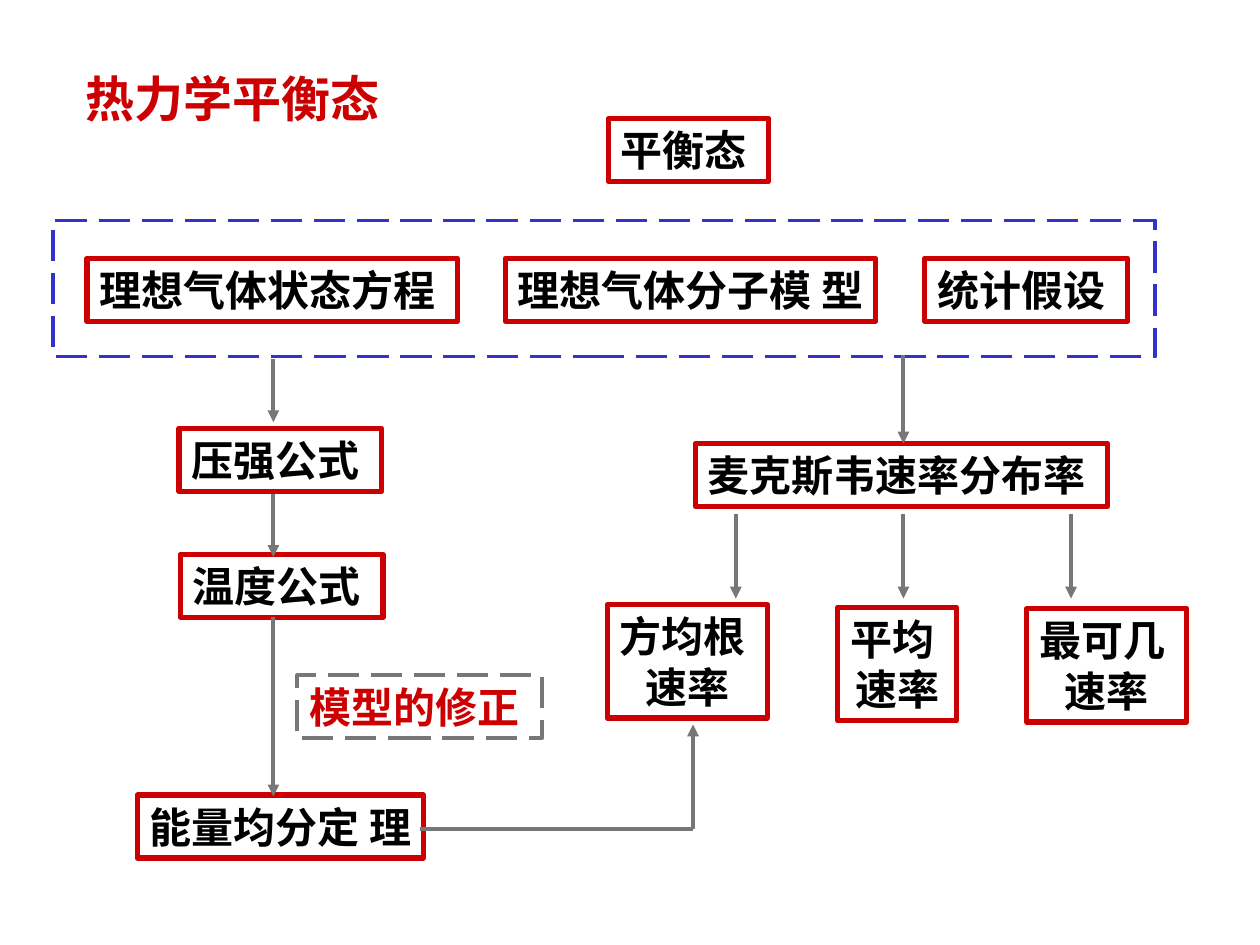
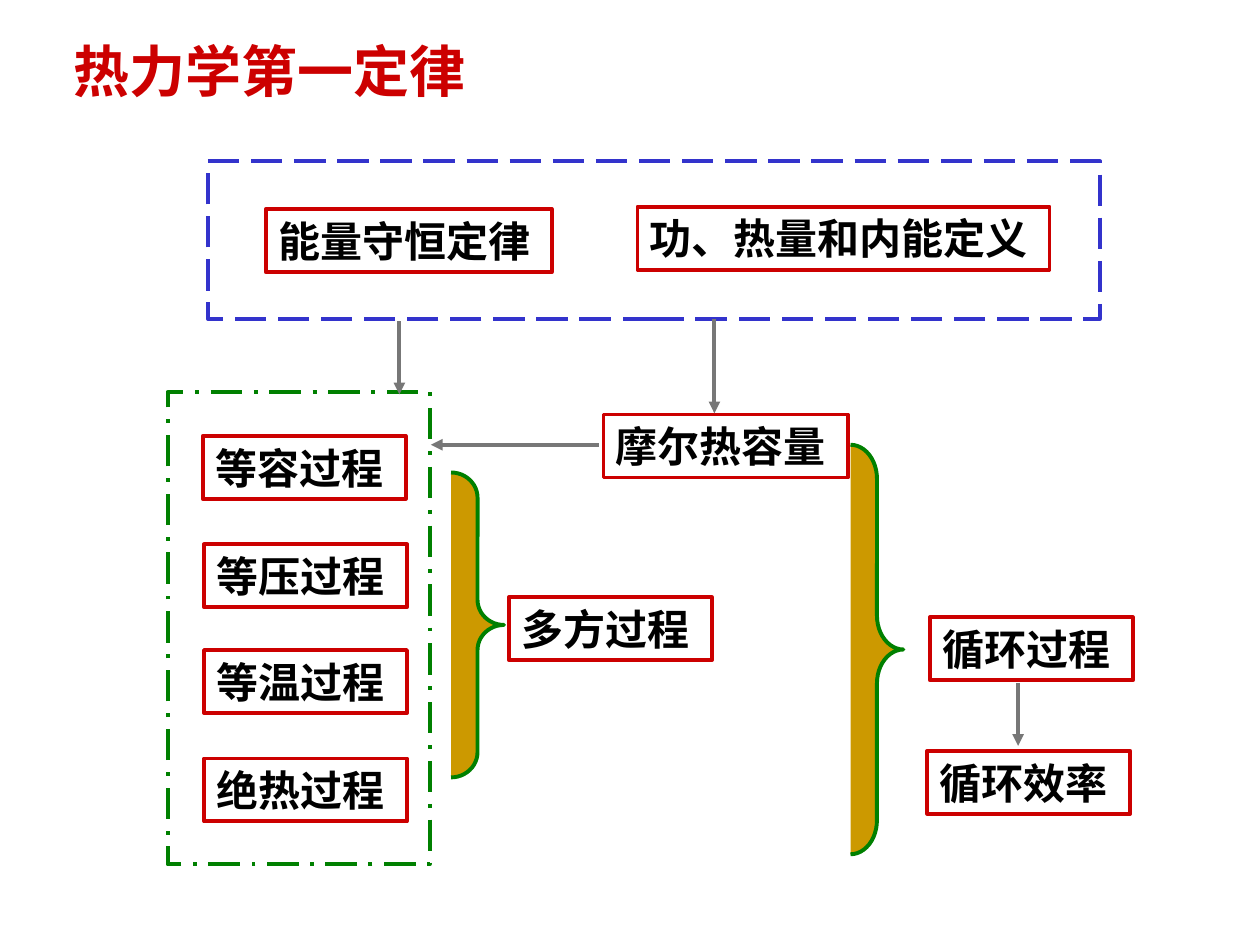
from typing import NamedTuple, Optional

from lxml.etree import SubElement
from pptx import Presentation
from pptx.dml.color import RGBColor
from pptx.enum.dml import MSO_LINE
from pptx.enum.shapes import MSO_CONNECTOR, MSO_SHAPE
from pptx.enum.text import MSO_ANCHOR, MSO_AUTO_SIZE, PP_ALIGN
from pptx.oxml.ns import qn
from pptx.util import Inches, Pt

FONT = "Times New Roman"
RED, BLUE, GREEN = "CC0000", "3333CC", "008000"
GREY, GOLD, BLACK = "777777", "CC9900", "000000"
THIN, THICK = 2.25, 3
ROW = 0.5  # height of a one-line box


class Box(NamedTuple):
    text: str
    x: float
    y: float
    w: float
    h: float = ROW
    ink: str = BLACK
    edge: str = RED
    dash: Optional[MSO_LINE] = None


class Frame(NamedTuple):
    x: float
    y: float
    w: float
    h: float
    edge: str = BLUE
    dash: MSO_LINE = MSO_LINE.LONG_DASH


class Arrow(NamedTuple):
    x1: float
    y1: float
    x2: float
    y2: float
    head: bool = True


class Brace(NamedTuple):
    x: float
    y: float
    h: float
    curl: float
    w: float = 0.42


def color(code: str) -> RGBColor:
    return RGBColor.from_string(code)


def write(frame, text: str, *, size: float = 24, ink: str = BLACK,
          align: PP_ALIGN = PP_ALIGN.LEFT, left: float = 0.1) -> None:
    frame.auto_size = MSO_AUTO_SIZE.NONE
    frame.word_wrap = True
    frame.vertical_anchor = MSO_ANCHOR.TOP
    frame.margin_left, frame.margin_right = Inches(left), Inches(0)
    frame.margin_top = frame.margin_bottom = Inches(0.05)
    frame.text = text
    for para in frame.paragraphs:
        para.alignment = align
        font = para.font
        font.name, font.size, font.bold = FONT, Pt(size), True
        font.color.rgb = color(ink)


def add_slide(deck, text: str, x: float, y: float, w: float, h: float,
              size: float):
    slide = deck.slides.add_slide(deck.slide_layouts[5])
    title = slide.shapes.title
    title.left, title.top = Inches(x), Inches(y)
    title.width, title.height = Inches(w), Inches(h)
    write(title.text_frame, text, size=size, ink=RED)
    return slide


def add_shape(slide, kind: MSO_SHAPE, x: float, y: float, w: float, h: float,
              edge: str, width: float = THIN,
              dash: Optional[MSO_LINE] = None):
    shape = slide.shapes.add_shape(
        kind, Inches(x), Inches(y), Inches(w), Inches(h))
    shape.shadow.inherit = False
    shape.fill.background()
    shape.line.color.rgb = color(edge)
    shape.line.width = Pt(width)
    if dash is not None:
        shape.line.dash_style = dash
    return shape


def draw_box(slide, box: Box, width: float) -> None:
    """Draw a box; text of several lines is centred."""
    shape = add_shape(slide, MSO_SHAPE.RECTANGLE, box.x, box.y, box.w, box.h,
                      box.edge, THIN if box.dash else width, box.dash)
    if "\n" in box.text:
        write(shape.text_frame, box.text, ink=box.ink,
              align=PP_ALIGN.CENTER, left=0)
    else:
        write(shape.text_frame, box.text, ink=box.ink)


def draw_frame(slide, frame: Frame) -> None:
    add_shape(slide, MSO_SHAPE.RECTANGLE, frame.x, frame.y, frame.w, frame.h,
              frame.edge, dash=frame.dash)


def draw_arrow(slide, arrow: Arrow) -> None:
    line = slide.shapes.add_connector(
        MSO_CONNECTOR.STRAIGHT, Inches(arrow.x1), Inches(arrow.y1),
        Inches(arrow.x2), Inches(arrow.y2))
    line.line.color.rgb = color(GREY)
    line.line.width = Pt(THIN)
    if arrow.head:
        SubElement(line.line._get_or_add_ln(), qn("a:tailEnd"),
                   type="triangle")
    SubElement(line._element.spPr, qn("a:effectLst"))


def draw_brace(slide, brace: Brace) -> None:
    shape = add_shape(slide, MSO_SHAPE.RIGHT_BRACE, brace.x, brace.y,
                      brace.w, brace.h, GREEN)
    shape.adjustments[0] = brace.curl / brace.w
    shape.fill.solid()
    shape.fill.fore_color.rgb = color(GOLD)


def draw_state(deck) -> None:
    slide = add_slide(deck, "热力学平衡态", 0.58, 0.49, 2.62, 0.57, 28)
    stem, mid, gap = 2.17, 7.17, 1.33
    draw_frame(slide, Frame(0.42, 1.75, 8.75, 1.08))
    for box in (
        Box("平衡态", 4.83, 0.94, 1.27),
        Box("理想气体状态方程", 0.69, 2.05, 2.94),
        Box("理想气体分子模 型", 4.01, 2.05, 2.94),
        Box("统计假设", 7.34, 2.05, 1.61),
        Box("压强公式", 1.42, 3.4, 1.61),
        Box("温度公式", 1.43, 4.4, 1.61),
        Box("能量均分定 理", 1.09, 6.31, 2.27),
        Box("麦克斯韦速率分布率", 5.52, 3.52, 3.27),
        Box("方均根 \n速率", 4.82, 4.8, 1.27, 0.9),
        Box("平均 \n速率", 6.65, 4.82, 0.94, 0.9),
        Box("最可几 \n速率", 8.15, 4.83, 1.27, 0.9),
        Box("模型的修正", 2.36, 5.36, 1.94, ink=RED, edge=GREY,
            dash=MSO_LINE.LONG_DASH),
    ):
        draw_box(slide, box, THICK)
    for top, end in ((2.85, 3.35), (3.92, 4.42), (4.9, 6.32)):
        draw_arrow(slide, Arrow(stem, top, stem, end))
    draw_arrow(slide, Arrow(mid, 2.82, mid, 3.52))
    for step in (-1, 0, 1):
        x = mid + step * gap
        draw_arrow(slide, Arrow(x, 4.08, x, 4.75))
    draw_arrow(slide, Arrow(3.33, 6.58, 5.5, 6.58, head=False))
    draw_arrow(slide, Arrow(5.5, 6.58, 5.5, 5.75))


def draw_law(deck) -> None:
    slide = add_slide(deck, "热力学第一定律", 0.48, 0.24, 3.41, 0.64, 32)
    draw_frame(slide, Frame(1.65, 1.28, 7.08, 1.25))
    draw_frame(slide, Frame(1.33, 3.11, 2.08, 3.75, GREEN,
                            MSO_LINE.LONG_DASH_DOT))
    for box in (
        Box("能量守恒定律", 2.11, 1.66, 2.27),
        Box("功、热量和内能定义", 5.06, 1.64, 3.27),
        Box("等容过程", 1.61, 3.46, 1.61),
        Box("等压过程", 1.62, 4.32, 1.61),
        Box("等温过程", 1.62, 5.16, 1.61),
        Box("绝热过程", 1.62, 6.02, 1.61),
        Box("多方过程", 4.04, 4.74, 1.61),
        Box("摩尔热容量", 4.79, 3.29, 1.94),
        Box("循环过程", 7.38, 4.9, 1.61),
        Box("循环效率", 7.36, 5.96, 1.61),
    ):
        draw_box(slide, box, THIN)
    for brace in (Brace(3.58, 3.75, 2.42, 0.2), Brace(6.75, 3.53, 3.25, 0.27)):
        draw_brace(slide, brace)
    for arrow in (
        Arrow(3.17, 2.55, 3.17, 3.13),
        Arrow(5.67, 2.53, 5.67, 3.28),
        Arrow(4.75, 3.53, 3.42, 3.53),
        Arrow(8.08, 5.42, 8.08, 5.92),
    ):
        draw_arrow(slide, arrow)


def main() -> None:
    deck = Presentation()
    deck.slide_width, deck.slide_height = Inches(10), Inches(7.5)
    draw_state(deck)
    draw_law(deck)
    deck.save("out.pptx")


if __name__ == "__main__":
    main()
